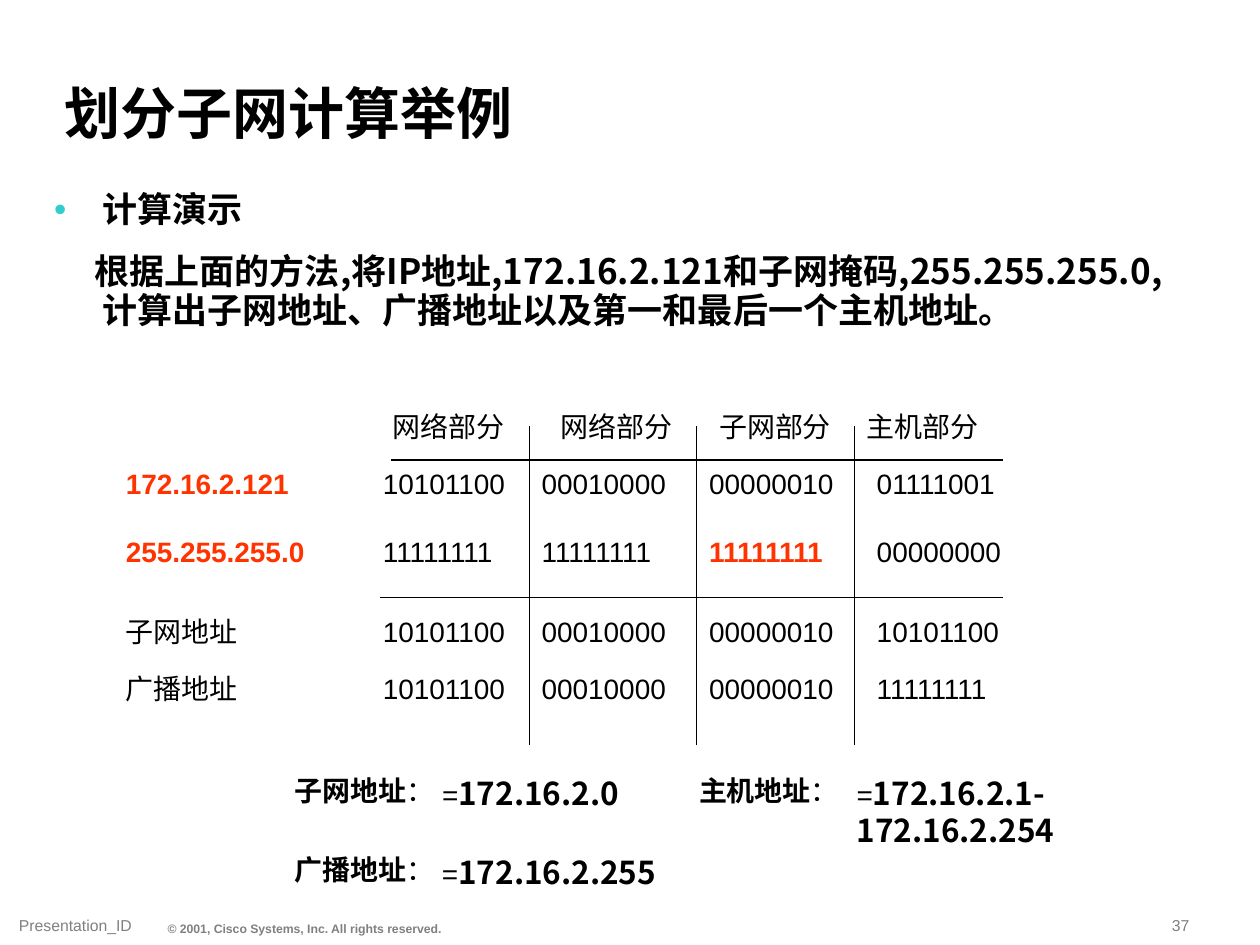
from lxml import etree
from pptx import Presentation
from pptx.dml.color import RGBColor
from pptx.enum.shapes import MSO_CONNECTOR
from pptx.enum.text import MSO_ANCHOR
from pptx.oxml.ns import qn
from pptx.util import Inches, Pt

TOP, BOTTOM = MSO_ANCHOR.TOP, MSO_ANCHOR.BOTTOM
STRAIGHT = MSO_CONNECTOR.STRAIGHT
COLORS = {"ink": "000000", "hot": "FF3300", "gray": "808080", "dot": "33CCCC"}
SANS, HAN = "Arial", "Noto Sans CJK SC"


def write(para, text, size=16, color="ink", bold=False, font=SANS):
    """Add one formatted run to a paragraph."""
    run = para.add_run()
    run.text = text
    face = run.font
    face.size, face.bold, face.name = Pt(size), bold, font
    face.color.rgb = RGBColor.from_string(COLORS[color])
    etree.SubElement(run._r.get_or_add_rPr(), qn("a:ea"), typeface=HAN)


class Page:
    def __init__(self, deck):
        self.slide = deck.slides.add_slide(deck.slide_layouts[6])

    def box(self, x, y, w, h, pad=(0.1, 0.05, 0.1, 0.05), anchor=TOP):
        shape = self.slide.shapes.add_textbox(
            Inches(x), Inches(y), Inches(w), Inches(h))
        frame = shape.text_frame
        frame.word_wrap = True
        frame.vertical_anchor = anchor
        (frame.margin_left, frame.margin_top,
         frame.margin_right, frame.margin_bottom) = map(Inches, pad)
        return frame

    def label(self, x, y, w, text, **style):
        write(self.box(x, y, w, 0.37).paragraphs[0], text, **style)

    def title(self, text):
        frame = self.box(0.42, 0.28, 9.58, 0.92,
                         (0.09, 0.04, 0.09, 0.04), BOTTOM)
        para = frame.paragraphs[0]
        para.line_spacing = 0.9
        write(para, text, size=32, bold=True)

    def body(self, head, text):
        frame = self.box(0.27, 1.39, 9.06, 2.05, (0.09, 0.12, 0.09, 0.04))
        first, second = frame.paragraphs[0], frame.add_paragraph()
        second.space_before = Pt(12.5)
        for para, words, indent in ((first, head, -0.38),
                                    (second, text, -0.06)):
            para.line_spacing = 0.95
            props = para._p.get_or_add_pPr()
            props.set("marL", str(Inches(0.45)))
            props.set("indent", str(Inches(indent)))
            write(para, words, size=20, bold=True, font=HAN)
        # Bullet on the heading only
        props = first._p.get_or_add_pPr()
        tint = etree.SubElement(props, qn("a:buClr"))
        etree.SubElement(tint, qn("a:srgbClr"), val=COLORS["dot"])
        etree.SubElement(props, qn("a:buFont"), typeface=SANS)
        etree.SubElement(props, qn("a:buChar"), char="•")

    def line(self, x1, y1, x2, y2):
        rule = self.slide.shapes.add_connector(
            STRAIGHT, Inches(x1), Inches(y1), Inches(x2), Inches(y2))
        rule.line.color.rgb = RGBColor.from_string(COLORS["ink"])
        rule.line.width = Pt(0.75)
        etree.SubElement(rule._element.spPr, qn("a:effectLst"))

    def result(self, x, y, name, gap, w, h, value):
        para = self.box(x, y, 1.33, 0.37).paragraphs[0]
        write(para, name, bold=True)
        write(para, "：")
        para = self.box(x + gap, y, w, h).paragraphs[0]
        write(para, "=")
        write(para, value, size=18, bold=True, font=HAN)

    def footer(self, x, y, w, h, text, size=9, bold=False):
        frame = self.box(x, y, w, h, (0.09, 0.04, 0, 0.04), BOTTOM)
        write(frame.paragraphs[0], text, size=size, color="gray", bold=bold)


def main():
    deck = Presentation()
    deck.slide_width, deck.slide_height = Inches(10), Inches(7.5)
    page = Page(deck)

    # Footer
    page.footer(0.06, 7.07, 1.08, 0.39, "Presentation_ID")
    page.footer(1.24, 7.26, 2.36, 0.21,
                "© 2001, Cisco Systems, Inc. All rights reserved.",
                size=7, bold=True)
    page.footer(9.21, 7.22, 0.75, 0.24, "37")

    # Title and task
    page.title("划分子网计算举例")
    page.body("计算演示",
              "根据上面的方法,将IP地址,172.16.2.121和子网掩码,255.255.255.0,"
              "计算出子网地址、广播地址以及第一和最后一个主机地址。")

    # Grid rules
    for left, y in ((3.1, 3.65), (3.02, 4.74)):
        page.line(left, y, 7.96, y)
    for x in (4.2, 5.53, 6.78):
        page.line(x, 3.38, x, 5.91)

    # Column heads
    heads = ((3.02, "网络部分"), (4.35, "网络部分"),
             (5.61, "子网部分"), (6.78, "主机部分"))
    for x, text in heads:
        page.label(x, 3.2, 1.18, text)

    # Binary rows: top, name, octets, columns in red (0 is the name)
    rows = (
        (3.65, "172.16.2.121", "10101100 00010000 00000010 01111001", (0,)),
        (4.19, "255.255.255.0", "11111111 11111111 11111111 00000000", (0, 3)),
        (4.83, "子网地址", "10101100 00010000 00000010 10101100", ()),
        (5.28, "广播地址", "10101100 00010000 00000010 11111111", ()),
    )
    cols = (0.9, 2.94, 4.2, 5.53, 6.86)
    for y, name, bits, marks in rows:
        for i, (x, text) in enumerate(zip(cols, [name, *bits.split()])):
            hot = i in marks
            page.label(x, y, 1.25 if i else 1.72, text,
                       color="hot" if hot else "ink", bold=hot)

    # Results
    page.result(2.24, 6.09, "子网地址", 1.17, 1.88, 0.4, "172.16.2.0")
    page.result(5.45, 6.09, "主机地址", 1.25, 2.63, 0.7,
                "172.16.2.1-172.16.2.254")
    page.result(2.24, 6.72, "广播地址", 1.17, 2.04, 0.4, "172.16.2.255")

    deck.save("out.pptx")


if __name__ == "__main__":
    main()
